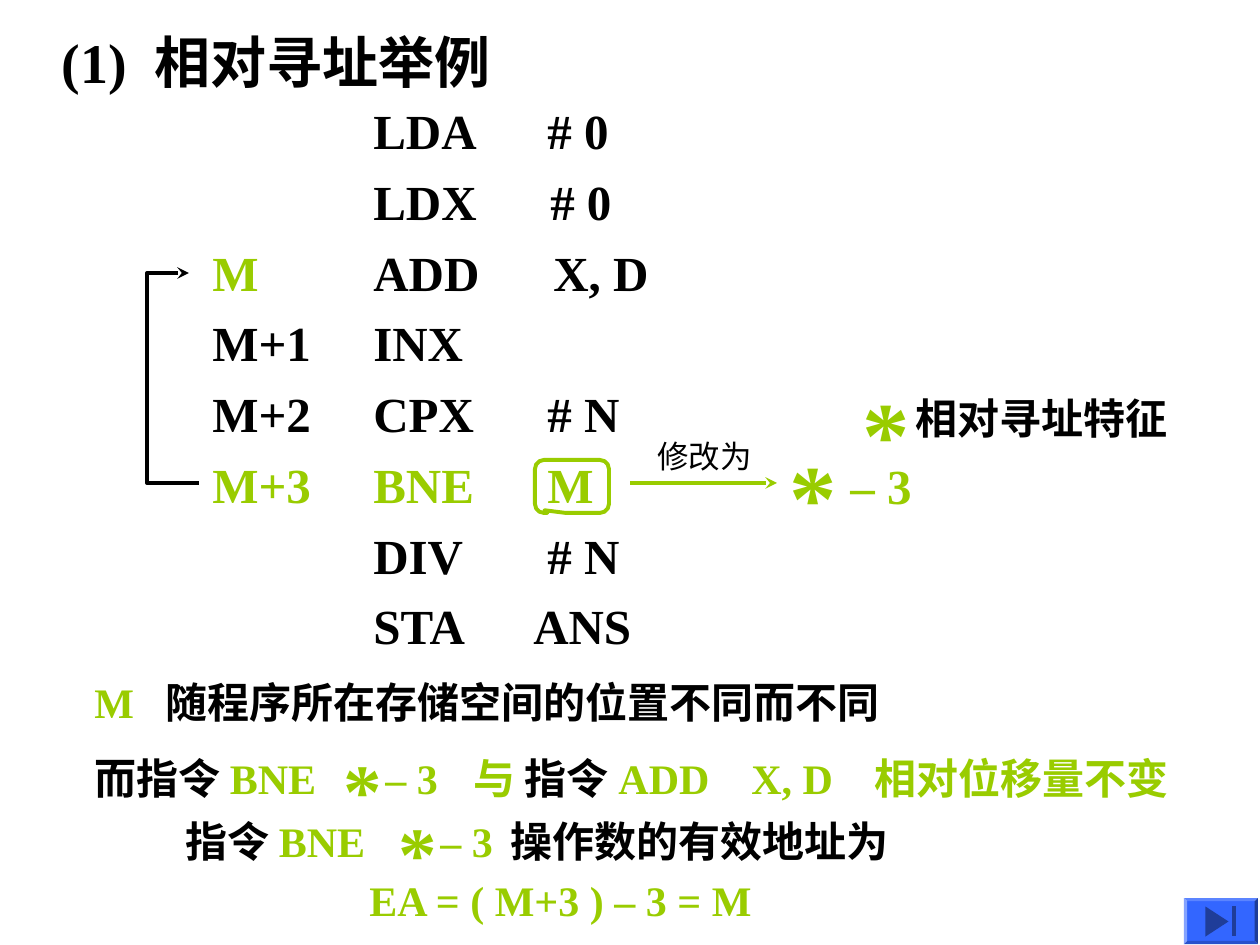
from lxml import etree
from pptx import Presentation
from pptx.dml.color import RGBColor
from pptx.enum.shapes import MSO_CONNECTOR, MSO_SHAPE
from pptx.enum.text import MSO_ANCHOR, MSO_AUTO_SIZE, PP_ALIGN
from pptx.oxml.ns import qn
from pptx.util import Emu, Pt

BEVEL = MSO_SHAPE.BEVEL
CALLOUT = MSO_SHAPE.ROUNDED_RECTANGULAR_CALLOUT
TRIANGLE = MSO_SHAPE.ISOSCELES_TRIANGLE
RECTANGLE = MSO_SHAPE.RECTANGLE
STRAIGHT = MSO_CONNECTOR.STRAIGHT
TOP = MSO_ANCHOR.TOP
NO_FIT = MSO_AUTO_SIZE.NONE
LEFT = PP_ALIGN.LEFT

SERIF, SANS = "Times New Roman", "Arial"
BLACK, GREEN, BLUE, NAVY = "000000", "99CC00", "3366FF", "1F3D99"
SCALE = 914400 / 126


def px(n):
    return Emu(round(n * SCALE))


def rgb(value):
    return RGBColor.from_string(value)


def write(tf, runs, size=28, color=BLACK, font=SERIF, bold=True, tabs=(), wrap=False):
    tf.word_wrap = wrap
    tf.auto_size = NO_FIT
    tf.vertical_anchor = TOP
    p = tf.paragraphs[0]
    p.alignment = LEFT
    if tabs:
        tab_list = etree.SubElement(p._p.get_or_add_pPr(), qn("a:tabLst"))
        for pos in tabs:
            etree.SubElement(tab_list, qn("a:tab"), pos=str(px(pos)), algn="l")
    if isinstance(runs, str):
        runs = [(runs, color)]
    for text, run_color in runs:
        r = p.add_run()
        r.text = text
        r.font.name = font
        r.font.size = Pt(size)
        r.font.bold = bold
        r.font.color.rgb = rgb(run_color)


class Deck:
    line_width = Pt(2.25)

    def __init__(self, prs):
        self.s = prs.slides.add_slide(prs.slide_layouts[5])

    def title(self, x, y, w, h, runs, **fmt):
        sp = self.s.shapes.title
        sp.left, sp.top, sp.width, sp.height = map(px, (x, y, w, h))
        write(sp.text_frame, runs, **fmt)

    def text(self, x, y, w, h, runs, **fmt):
        sp = self.s.shapes.add_textbox(px(x), px(y), px(w), px(h))
        write(sp.text_frame, runs, **fmt)

    def shape(self, kind, x, y, w, h, fill=None, line=None, adj=(), rotation=0):
        sp = self.s.shapes.add_shape(kind, px(x), px(y), px(w), px(h))
        sp.shadow.inherit = False
        sp.rotation = rotation
        for i, value in enumerate(adj):
            sp.adjustments[i] = value
        if fill:
            sp.fill.solid()
            sp.fill.fore_color.rgb = rgb(fill)
        else:
            sp.fill.background()
        if line:
            self.stroke(sp, line)
        else:
            sp.line.fill.background()

    def stroke(self, sp, color, arrow=False):
        sp.line.color.rgb = rgb(color)
        sp.line.width = self.line_width
        if arrow:
            etree.SubElement(sp.line._get_or_add_ln(), qn("a:tailEnd"), type="stealth")

    def arrow(self, x1, y1, x2, y2, color):
        sp = self.s.shapes.add_connector(STRAIGHT, px(x1), px(y1), px(x2), px(y2))
        self.stroke(sp, color, arrow=True)
        etree.SubElement(sp._element.spPr, qn("a:effectLst"))

    def path_arrow(self, points, color):
        start, *rest = points
        builder = self.s.shapes.build_freeform(*start, scale=SCALE)
        builder.add_line_segments(rest, close=False)
        sp = builder.convert_to_shape()
        sp.shadow.inherit = False
        sp.fill.background()
        self.stroke(sp, color, arrow=True)

    def star(self, x, y, size):
        self.text(x, y, 94, 126, "*", size=size, color=GREEN)

    def star_minus(self, x, y, star_size, size, dx, dy):
        self.text(x + dx, y + dy, 87, 72, "– 3", size=size, color=GREEN)
        self.star(x, y, star_size)


def main():
    prs = Presentation()
    prs.slide_width, prs.slide_height = px(1260), px(945)
    deck = Deck(prs)

    deck.title(49, 21, 480, 81, "(1)\t相对寻址举例", size=32, tabs=[93])

    program = [
        ("", "LDA\t# 0", 174, BLACK),
        ("", "LDX\t# 0", 177, BLACK),
        ("M", "ADD\tX, D", 180, GREEN),
        ("M+1", "INX", 174, BLACK),
        ("M+2", "CPX\t# N", 174, BLACK),
        ("M+3", "BNE\tM", 174, GREEN),
        ("", "DIV\t# N", 174, BLACK),
        ("", "STA\tANS", 160, BLACK),
    ]
    for i, (label, code, operand, color) in enumerate(program):
        y = 94.5 + 70.75 * i
        code_color = GREEN if label == "M+3" else BLACK
        deck.text(361, y, 300, 72, code, color=code_color, tabs=[operand])
        if label:
            deck.text(200, y, 123, 72, label, color=color)

    deck.path_arrow([(199, 483), (147, 483), (147, 273), (189, 273)], BLACK)
    deck.shape(CALLOUT, 535, 460, 74, 53, line=GREEN, adj=(-0.37, 0.45, 0.17))
    deck.arrow(630, 483, 777, 483, GREEN)
    deck.text(645, 431, 132, 50, "修改为", size=18, font=SANS, bold=False)
    deck.star_minus(777, 431, 54, 28, 61, 18)

    deck.text(903, 386, 305, 63, "相对寻址特征", size=24)
    deck.star(850, 368, 54)

    deck.text(82, 670, 1170, 63,
              [("M\t", GREEN), ("随程序所在存储空间的位置不同而不同", BLACK)],
              size=24, tabs=[71])
    deck.text(82, 746, 1170, 63,
              [("而指令 ", BLACK), ("BNE\t与 ", GREEN), ("指令 ", BLACK),
               ("ADD\tX, D\t相对位移量不变", GREEN)],
              size=24, tabs=[379, 657, 780])
    deck.star_minus(331, 735, 44, 24, 42, 11)

    deck.text(173, 809, 215, 63, [("指令 ", BLACK), ("BNE", GREEN)], size=24)
    deck.star_minus(386, 798, 44, 24, 42, 11)
    deck.text(498, 809, 403, 63, "操作数的有效地址为", size=24)
    deck.text(357, 868, 410, 63, "EA = ( M+3 ) – 3 = M", size=24, color=GREEN)

    deck.shape(BEVEL, 1184, 898, 74, 46, fill=BLUE, adj=(0.07,))
    deck.shape(TRIANGLE, 1202, 910, 30, 23, fill=NAVY, rotation=90)
    deck.shape(RECTANGLE, 1232, 906, 4, 30, fill=NAVY)

    prs.save("out.pptx")


if __name__ == "__main__":
    main()
